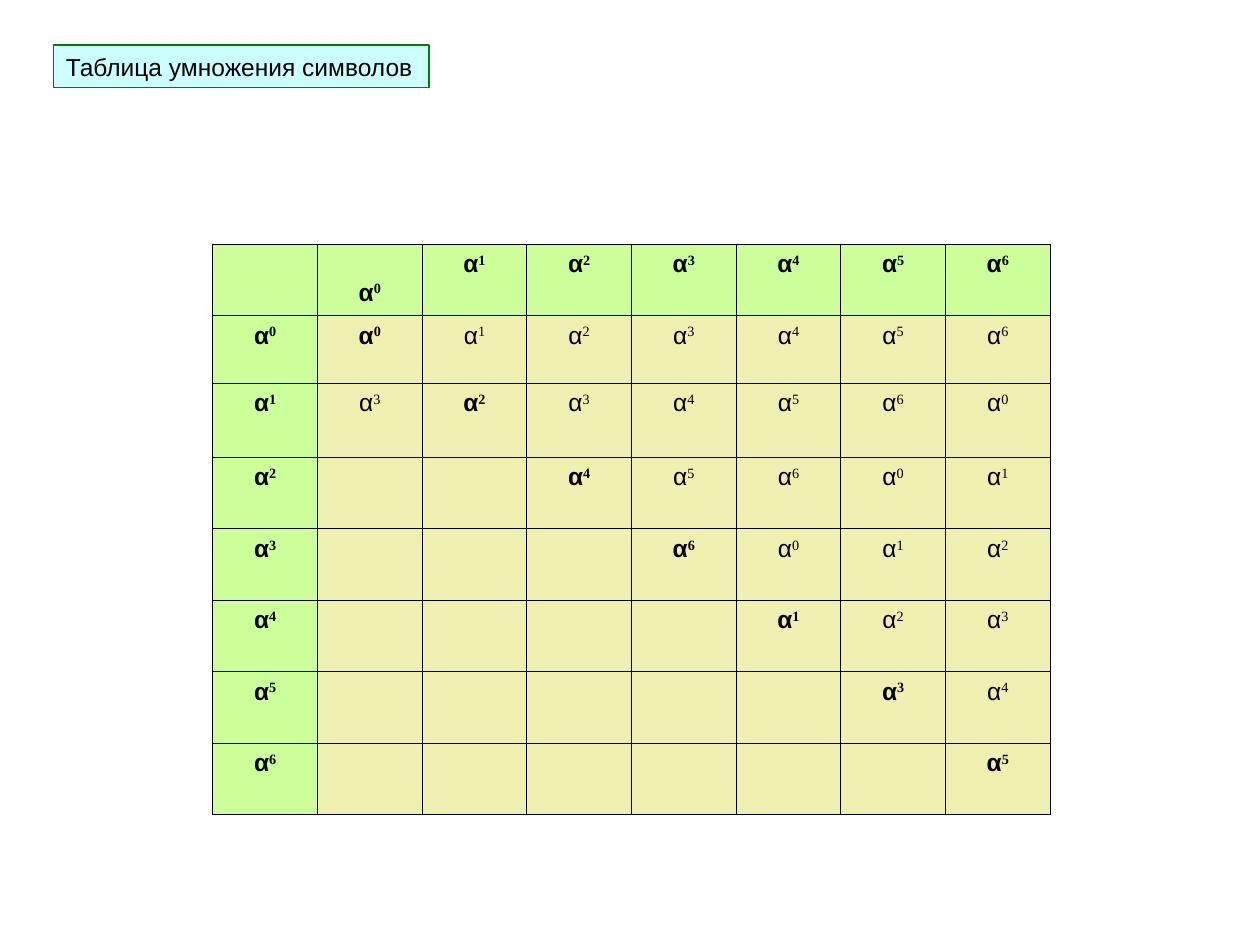
"""Build a slide with the multiplication table of the symbols α."""
import dataclasses

import lxml.etree
import pptx
import pptx.dml.color
import pptx.enum.text
import pptx.oxml.ns
import pptx.util

Cm = pptx.util.Cm
ORDER = 7


@dataclasses.dataclass(frozen=True)
class Theme:
    """Colours, fonts and sizes of the slide."""

    ink: str = "000000"
    title_fill: str = "CCFFFF"
    title_line: str = "008000"
    header_fill: str = "CCFF99"
    body_fill: str = "EFEFAF"
    font: str = "Arial"
    power_font: str = "Times New Roman"
    size: float = 14
    title_width: float = 0.75
    border_width: float = 0.45


THEME = Theme()


def color(value):
    """Return an RGB colour from its hex text."""
    return pptx.dml.color.RGBColor.from_string(value)


def add_text(para, text, *, font=THEME.font, bold=False, raised=False):
    """Add a formatted span to a paragraph."""
    span = para.add_run()
    span.text = text
    span.font.name = font
    span.font.size = pptx.util.Pt(THEME.size)
    span.font.bold = bold
    span.font.color.rgb = color(THEME.ink)
    if raised:
        span.font._element.set("baseline", "30000")


def add_title(page, text):
    """Add the framed title."""
    box = page.shapes.add_textbox(Cm(1.08), Cm(0.91), Cm(7.57), Cm(0.86))
    box.fill.solid()
    box.fill.fore_color.rgb = color(THEME.title_fill)
    box.line.color.rgb = color(THEME.title_line)
    box.line.width = pptx.util.Pt(THEME.title_width)
    frame = box.text_frame
    frame.word_wrap = False
    frame.auto_size = pptx.enum.text.MSO_AUTO_SIZE.SHAPE_TO_FIT_TEXT
    frame.vertical_anchor = pptx.enum.text.MSO_ANCHOR.MIDDLE
    add_text(frame.paragraphs[0], text)


def style_cell(cell, fill):
    """Give a cell its borders and fill."""
    properties = cell._tc.get_or_add_tcPr()
    qn = pptx.oxml.ns.qn
    for side in ("a:lnL", "a:lnR", "a:lnT", "a:lnB"):
        width = str(int(pptx.util.Pt(THEME.border_width)))
        line = lxml.etree.SubElement(properties, qn(side), w=width)
        solid = lxml.etree.SubElement(line, qn("a:solidFill"))
        lxml.etree.SubElement(solid, qn("a:srgbClr"), val=THEME.ink)
    cell.fill.solid()
    cell.fill.fore_color.rgb = color(fill)


def add_power(cell, exponent, bold):
    """Write α raised to a power in a cell."""
    para = cell.text_frame.paragraphs[0]
    para.alignment = pptx.enum.text.PP_ALIGN.CENTER
    add_text(para, "α", bold=bold)
    add_text(para, str(exponent), font=THEME.power_font, bold=bold, raised=True)


def find_exponent(row, column):
    """Return the exponent shown in a cell, or None for an empty one."""
    if row == 0 or column == 0:
        return row + column - 1 if row + column else None
    if (row, column) == (2, 1):
        return 3
    return (row + column - 2) % ORDER if column >= row else None


def add_powers_table(page):
    """Add the table of products."""
    heights = [1.44, 1.36, 1.5] + [1.44] * (ORDER - 2)
    count = ORDER + 1
    width = 2.11
    frame = page.shapes.add_table(
        count, count, Cm(4.29), Cm(4.92), Cm(width * count), Cm(sum(heights))
    )
    table = frame.table
    table.first_row = False
    table.horz_banding = False
    for column in table.columns:
        column.width = Cm(width)
    for row, height in enumerate(heights):
        table.rows[row].height = Cm(height)
        for column in range(count):
            cell = table.cell(row, column)
            header = row == 0 or column == 0
            style_cell(cell, THEME.header_fill if header else THEME.body_fill)
            exponent = find_exponent(row, column)
            if exponent is not None:
                add_power(cell, exponent, header or row == column)
    table.cell(0, 1).margin_top = Cm(0.7)


def main():
    """Create and save the deck."""
    deck = pptx.Presentation()
    deck.slide_width, deck.slide_height = Cm(25.4), Cm(19.05)
    page = deck.slides.add_slide(deck.slide_layouts[6])
    add_title(page, "Таблица умножения символов")
    add_powers_table(page)
    deck.save("out.pptx")


if __name__ == "__main__":
    main()
